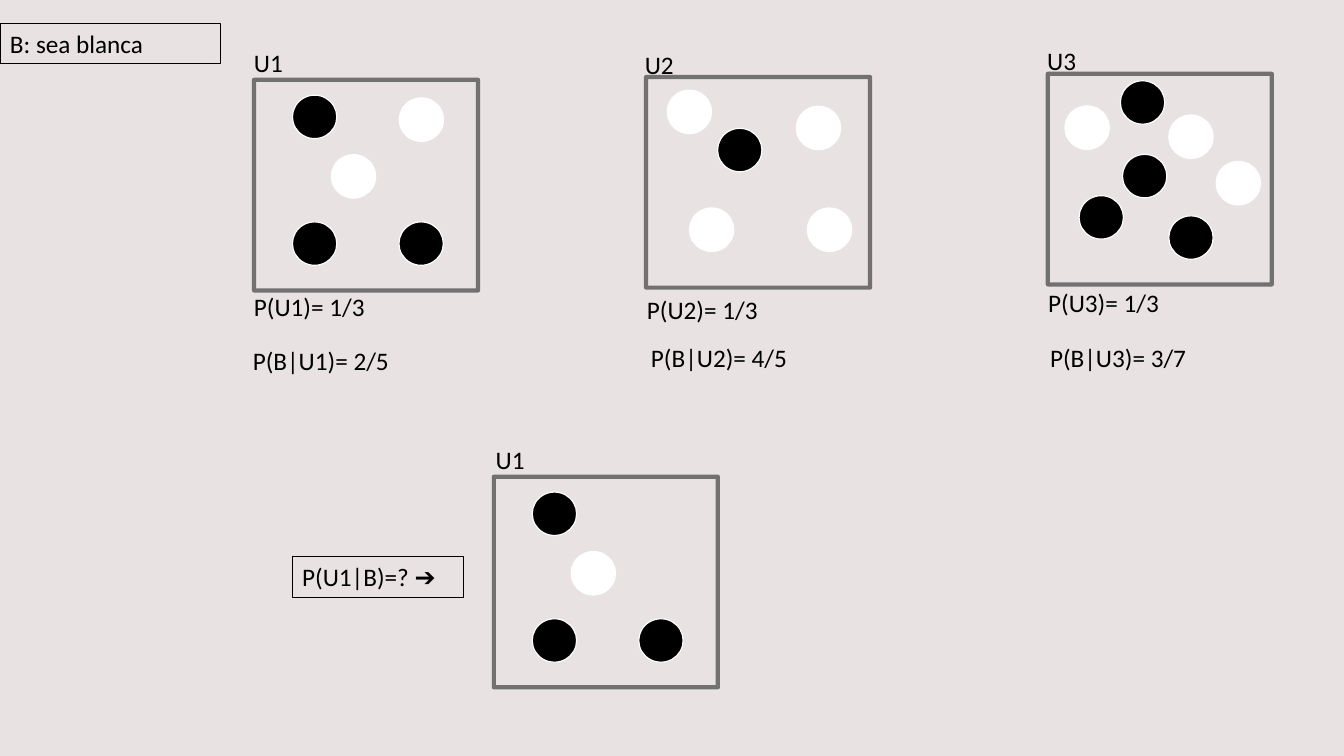
from lxml.etree import SubElement
from pptx import Presentation
from pptx.dml.color import RGBColor
from pptx.enum.shapes import MSO_SHAPE
from pptx.enum.text import MSO_AUTO_SIZE, PP_ALIGN
from pptx.oxml.ns import qn
from pptx.util import Pt

COLORS = {"background": "E8E2E3", "black": "000000", "white": "FFFFFF"}
URN_SIZE = (160, 150.5)
BALL_SIZE = (31.7, 31)
TEXT_HEIGHT = 29

# Ball places are measured from the urn's top left corner
U1_BLACK = [(27.4, 101.5), (103.5, 101.5), (27.4, 11)]
U1_WHITE = [(55.2, 53.5), (103.7, 13)]
U2_BLACK = [(51.1, 36.7)]
U2_WHITE = [(15.1, 9.4), (31, 93.6), (107.3, 20.9), (115.2, 93.6)]
U3_BLACK = [(53.3, 57.6), (86.4, 101.5), (51.8, 5), (22.3, 87.1)]
U3_WHITE = [(12.2, 23), (86.4, 29.5), (120.2, 62.6)]


def rgb(name):
    return RGBColor.from_string(COLORS[name])


def add_outline(slide, kind, box, line_color, line_width, fill=None):
    outline = slide.shapes.add_shape(kind, *map(Pt, box))
    outline.shadow.inherit = False
    if fill:
        outline.fill.solid()
        outline.fill.fore_color.rgb = rgb(fill)
    else:
        outline.fill.background()
    outline.line.color.rgb = rgb(line_color)
    outline.line.width = Pt(line_width)
    return outline


def write(holder, words):
    frame = holder.text_frame
    frame.word_wrap = True
    frame.auto_size = MSO_AUTO_SIZE.SHAPE_TO_FIT_TEXT
    paragraph = frame.paragraphs[0]
    paragraph.text = words
    paragraph.alignment = PP_ALIGN.LEFT
    paragraph.font.name = "Calibri"
    paragraph.font.size = Pt(18)
    paragraph.font.color.rgb = rgb("black")


def add_caption(slide, left, top, width, words):
    write(slide.shapes.add_textbox(Pt(left), Pt(top), Pt(width), Pt(TEXT_HEIGHT)), words)


def add_framed_note(slide, left, top, width, words):
    box = (left, top, width, TEXT_HEIGHT)
    write(add_outline(slide, MSO_SHAPE.RECTANGLE, box, "black", 0.75), words)


def add_urn(slide, left, top, black_balls, white_balls, captions):
    # Half-transparent frame
    frame = add_outline(slide, MSO_SHAPE.RECTANGLE, (left, top, *URN_SIZE), "black", 3)
    line_color = frame.line._ln.find(".//" + qn("a:srgbClr"))
    SubElement(line_color, qn("a:alpha"), val="50000")

    # Balls
    for color, places in (("white", white_balls), ("black", black_balls)):
        for x, y in places:
            add_outline(slide, MSO_SHAPE.OVAL, (left + x, top + y, *BALL_SIZE),
                        "white", 0.85, color)

    # Name above, probabilities below
    for x, y, width, words in captions:
        add_caption(slide, left + x, top + y, width, words)


def add_prior_urns(slide):
    add_urn(slide, 181.5, 57, U1_BLACK, U1_WHITE, [
        (-7.2, -26.6, 44, "U1"),
        (-7.2, 147.6, 173.5, "P(U1)= 1/3"),
        (-8, 185.8, 173.5, "P(B|U1)= 2/5")])
    add_urn(slide, 461.5, 55, U2_BLACK, U2_WHITE, [
        (-8, -23.2, 44, "U2"),
        (-6.5, 151.7, 173.5, "P(U2)= 1/3"),
        (-3.6, 186.3, 173.5, "P(B|U2)= 4/5")])
    add_urn(slide, 748.5, 52.7, U3_BLACK, U3_WHITE, [
        (-7.6, -23.8, 44, "U3"),
        (-6.9, 149, 173.5, "P(U3)= 1/3"),
        (-5.5, 188.5, 173.5, "P(B|U3)= 3/7")])


def add_question(slide, left, top):
    # U1 after one white ball has been drawn
    add_framed_note(slide, left, top, 122.5, "P(U1|B)=? ➔")
    add_urn(slide, left + 144, top - 57, U1_BLACK, U1_WHITE[:1],
            [(-5.8, -26.6, 44, "U1")])


def main():
    presentation = Presentation()
    presentation.slide_width, presentation.slide_height = Pt(960), Pt(540)
    slide = presentation.slides.add_slide(presentation.slide_layouts[6])
    slide.background.fill.solid()
    slide.background.fill.fore_color.rgb = rgb("background")

    add_prior_urns(slide)
    add_framed_note(slide, 0, 16.6, 157.7, "B: sea blanca")
    add_question(slide, 208.8, 397.5)
    presentation.save("out.pptx")


if __name__ == "__main__":
    main()
